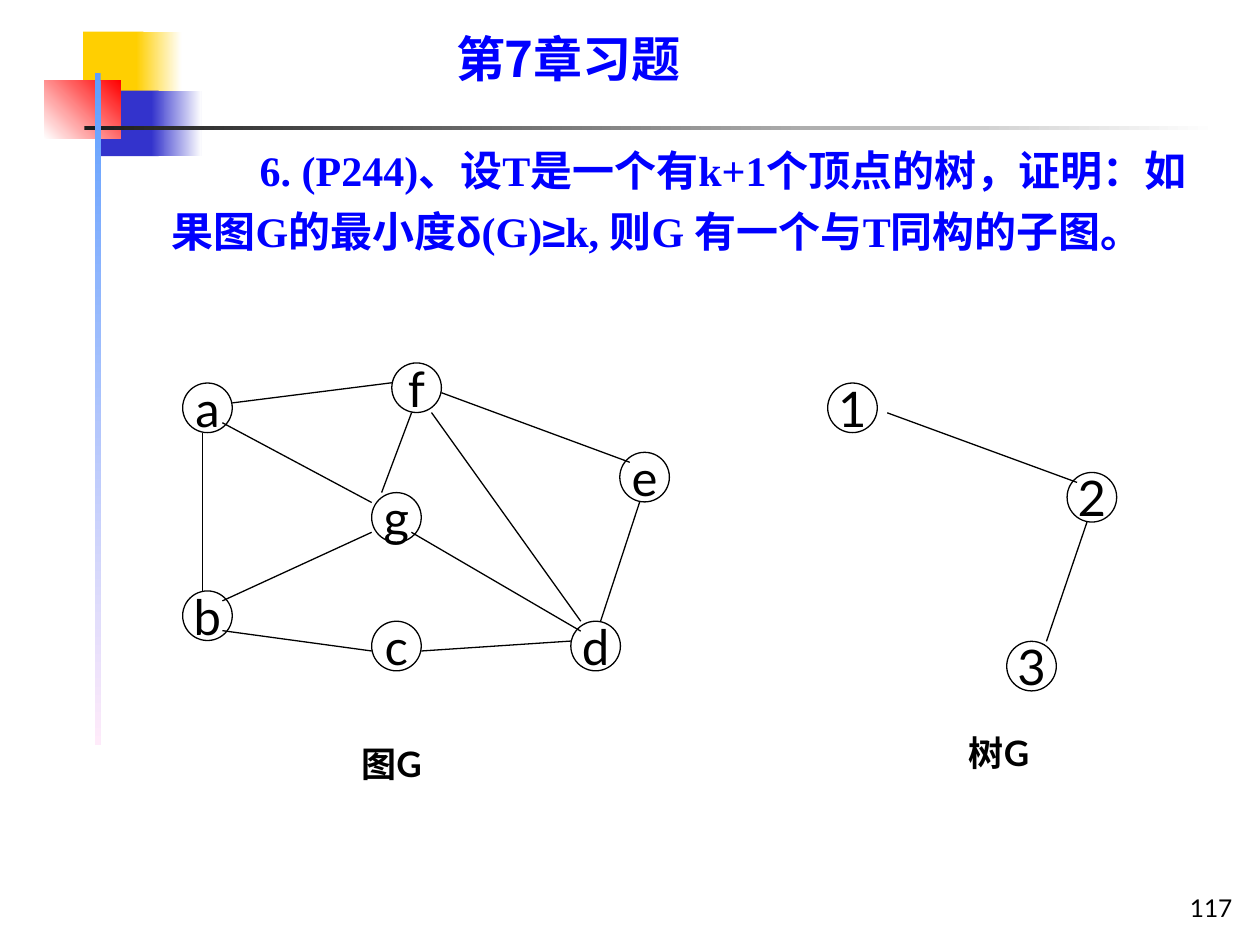
from lxml import etree
from pptx import Presentation
from pptx.dml.color import RGBColor
from pptx.enum.shapes import MSO_CONNECTOR, MSO_SHAPE
from pptx.enum.text import MSO_ANCHOR, MSO_AUTO_SIZE, PP_ALIGN
from pptx.oxml.ns import qn
from pptx.util import Pt

RECT, OVAL = MSO_SHAPE.RECTANGLE, MSO_SHAPE.OVAL
LINE = MSO_CONNECTOR.STRAIGHT
TOP, MIDDLE, BOTTOM = MSO_ANCHOR.TOP, MSO_ANCHOR.MIDDLE, MSO_ANCHOR.BOTTOM
LEFT, CENTER, RIGHT = PP_ALIGN.LEFT, PP_ALIGN.CENTER, PP_ALIGN.RIGHT
GROW, FIXED = MSO_AUTO_SIZE.SHAPE_TO_FIT_TEXT, MSO_AUTO_SIZE.NONE
LATO, TIMES, ARIAL, NOTO = "Lato", "Times New Roman", "Arial", "Noto Sans CJK SC"
BLACK, BLUE, WHITE = "000000", "0000FF", "FFFFFF"
UNIT = 5.67
SIDE = 5 * UNIT

BLOCKS = [
    (47.5, 18, 34.5, 37.5, "FFCF01", None, 0),
    (77.8, 18, 26, 37.5, "FFCF01", WHITE, 0),
    (57.6, 51.8, 33.1, 37.5, "3333CC", None, 0),
    (86.4, 51.8, 28.8, 37.5, "3333CC", WHITE, 0),
    (25.2, 46, 44, 33.1, WHITE, "FF0000", 45),
    (48.2, 72, 648, 2.2, "1C1C1C", WHITE, 0),
    (54, 41.8, 3.6, 383.8, "5E9EFF", "FFEBFA", 270),
]

NODES = {
    "a": (104.4, 218.9), "b": (104.4, 337.7), "c": (212.4, 355),
    "d": (326.2, 355), "e": (354.2, 258.5), "f": (223.9, 207.4),
    "g": (212.4, 281.5), "1": (473, 218.9), "2": (609.8, 270),
    "3": (575.3, 366.5),
}

EDGES = [
    ("a", 2, 5, "b", 2, 0), ("a", 4, 4, "g", 0, 1), ("a", 5, 2, "f", 0, 2),
    ("b", 4, 4, "c", 0, 3), ("c", 5, 3, "d", 0, 2), ("d", 3, 0, "e", 2, 5),
    ("e", 1, 1, "f", 5, 3), ("b", 4, 1, "g", 0, 4), ("f", 2, 5, "g", 1, 0),
    ("g", 4, 4, "d", 1, 1), ("f", 4, 5, "d", 1, 0), ("3", 4, 0, "2", 2, 5),
    ("2", 1, 1, "1", 6, 3),
]

TASK = [
    ("6. (P244)、设T是一个有k+1个顶点的树，证明：如果图G的最小度", TIMES),
    ("δ", ARIAL), ("(G)", TIMES), ("≥", ARIAL),
    ("k, 则G 有一个与T同构的子图。", TIMES),
]


def paint(code):
    return RGBColor.from_string(code)


def write(frame, runs, size=28, color=BLACK, bold=False, align=LEFT,
          anchor=TOP, wrap=False, fit=FIXED, inset=(7.2, 3.6),
          space=1, margin=0, indent=0):
    frame.word_wrap = wrap
    frame.auto_size = fit
    frame.vertical_anchor = anchor
    frame.margin_left = frame.margin_right = Pt(inset[0])
    frame.margin_top = frame.margin_bottom = Pt(inset[1])
    para = frame.paragraphs[0]
    para.alignment = align
    para.line_spacing = space
    props = para._p.get_or_add_pPr()
    props.set("marL", str(Pt(margin)))
    props.set("indent", str(Pt(indent)))
    for text, face in runs:
        run = para.add_run()
        run.text = text
        font = run.font
        font.size, font.bold, font.name = Pt(size), bold, face
        font.color.rgb = paint(color)
        east = etree.SubElement(run._r.get_or_add_rPr(), qn("a:ea"))
        east.set("typeface", NOTO)


class Board:
    def __init__(self, slide, ink=BLACK, width=0.75):
        self.slide, self.ink, self.width = slide, ink, width

    def shape(self, kind, x, y, w, h):
        item = self.slide.shapes.add_shape(kind, Pt(x), Pt(y), Pt(w), Pt(h))
        item.shadow.inherit = False
        return item

    def block(self, x, y, w, h, start, end, angle):
        item = self.shape(RECT, x, y, w, h)
        item.line.fill.background()
        if end is None:
            item.fill.solid()
            item.fill.fore_color.rgb = paint(start)
            return
        item.fill.gradient()
        item.fill.gradient_angle = angle
        for stop, code in zip(item.fill.gradient_stops, (start, end)):
            stop.color.rgb = paint(code)

    def node(self, name, x, y):
        item = self.shape(OVAL, x, y, SIDE, SIDE)
        item.fill.background()
        self.stroke(item)
        write(item.text_frame, [(name, LATO)], align=CENTER, anchor=MIDDLE)

    def edge(self, x1, y1, x2, y2):
        item = self.slide.shapes.add_connector(
            LINE, Pt(x1), Pt(y1), Pt(x2), Pt(y2))
        self.stroke(item)
        etree.SubElement(item._element.spPr, qn("a:effectLst"))

    def stroke(self, item):
        item.line.color.rgb = paint(self.ink)
        item.line.width = Pt(self.width)

    def text(self, x, y, w, h, runs, **style):
        box = self.slide.shapes.add_textbox(Pt(x), Pt(y), Pt(w), Pt(h))
        write(box.text_frame, runs, **style)


def main():
    deck = Presentation()
    deck.slide_width, deck.slide_height = Pt(720), Pt(540)
    board = Board(deck.slides.add_slide(deck.slide_layouts[6]))
    for block in BLOCKS:
        board.block(*block)
    board.text(561.6, 494.6, 149.8, 36, [("117", LATO)], size=14,
               align=RIGHT, anchor=BOTTOM, wrap=True)
    board.text(70.6, 77, 617.8, 103.7, TASK, size=24, color=BLUE, bold=True,
               wrap=True, fit=GROW, inset=(0, 0), space=1.2,
               margin=27.4, indent=50.4)
    board.text(260.6, 20.2, 195.8, 30.2, [("第7章习题", NOTO)], color=BLUE,
               bold=True, fit=GROW, inset=(0, 0), space=0.9)
    for name, (x, y) in NODES.items():
        board.node(name, x, y)
    for first, dx1, dy1, last, dx2, dy2 in EDGES:
        (x1, y1), (x2, y2) = NODES[first], NODES[last]
        board.edge(x1 + dx1 * UNIT, y1 + dy1 * UNIT,
                   x2 + dx2 * UNIT, y2 + dy2 * UNIT)
    for x, y, label in [(199.4, 420.5, "图G"), (546.5, 414.7, "树G")]:
        board.text(x, y, 53.3, 31.7, [(label, LATO)], size=20, bold=True,
                   fit=GROW)
    deck.save("out.pptx")


if __name__ == "__main__":
    main()
